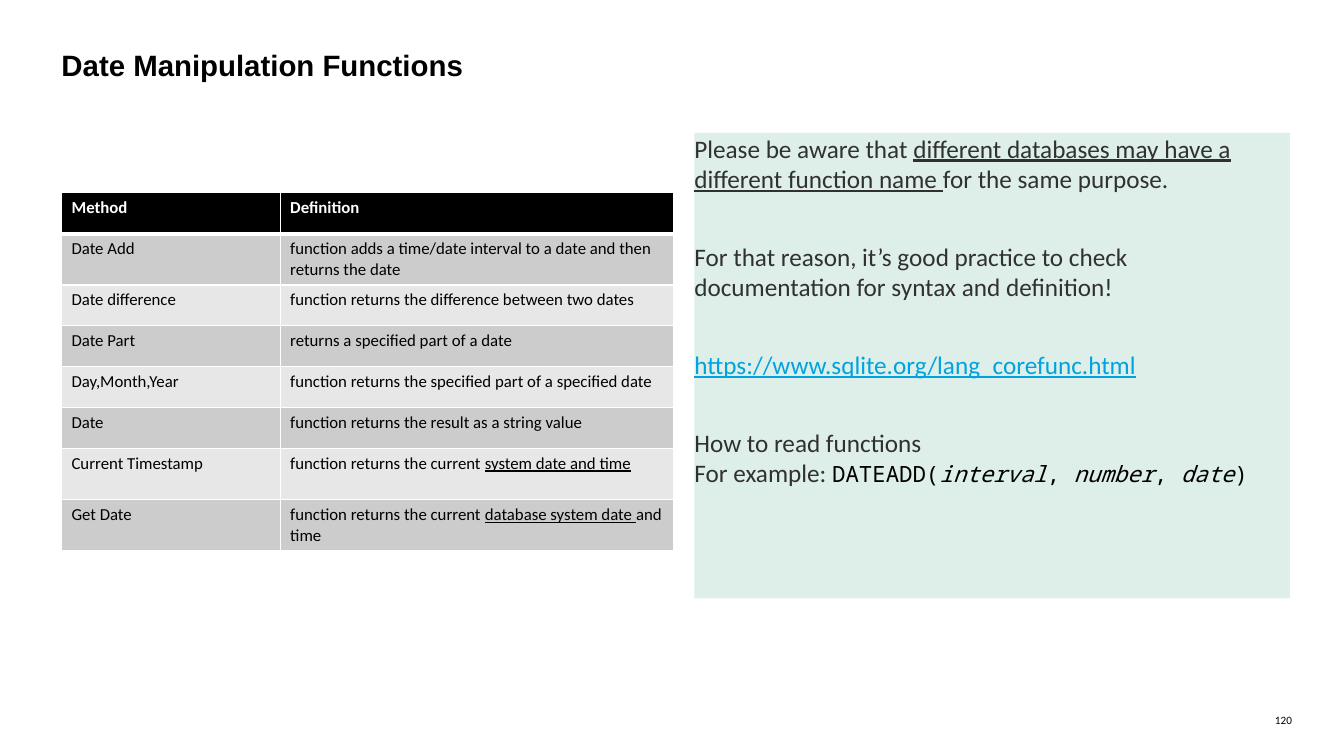
from dataclasses import dataclass
from lxml import etree
from pptx import Presentation
from pptx import util as u
from pptx.dml.color import RGBColor
from pptx.enum import shapes, text
from pptx.oxml.ns import qn


@dataclass
class Theme:
    black: str = "000000"
    white: str = "FFFFFF"
    dark: str = "CCCCCC"
    light: str = "E7E7E7"
    mint: str = "DDEFE8"
    ink: str = "313131"
    link: str = "00A3E0"
    head: str = "Arial"
    body: str = "Calibri"
    mono: str = "Noto Sans Mono"
    title: int = 21
    note: int = 18
    code: int = 16
    cell: int = 12
    page: int = 8


class Deck:
    def __init__(self, theme):
        self.theme = theme
        self.file = Presentation()
        self.file.slide_width = u.Cm(33.87)
        self.file.slide_height = u.Cm(19.05)
        self.slide = self.file.slides.add_slide(self.file.slide_layouts[6])

    def style(self, run, size, color, face=None, **marks):
        font = run.font
        font.size = u.Pt(size)
        font.name = face or self.theme.body
        font.color.rgb = RGBColor.from_string(color)
        for name, value in marks.items():
            setattr(font, name, value)

    def frame(self, box):
        frame = box.text_frame
        frame.word_wrap = True
        frame.vertical_anchor = text.MSO_ANCHOR.TOP
        frame.margin_left = frame.margin_right = 0
        frame.margin_top = frame.margin_bottom = 0
        return frame

    def label(self, place, words, align, *look, **marks):
        box = self.slide.shapes.add_textbox(*map(u.Cm, place))
        frame = self.frame(box)
        frame.text = words
        para = frame.paragraphs[0]
        para.alignment = align
        self.style(para.runs[0], *look, **marks)

    def panel(self, place, paras, gap):
        box = self.slide.shapes.add_shape(shapes.MSO_SHAPE.RECTANGLE, *map(u.Cm, place))
        box.shadow.inherit = False
        box.fill.solid()
        box.fill.fore_color.rgb = RGBColor.from_string(self.theme.mint)
        box.line.fill.background()
        frame = self.frame(box)
        for i, parts in enumerate(paras):
            para = frame.add_paragraph() if i else frame.paragraphs[0]
            para.alignment = text.PP_ALIGN.LEFT
            para.space_before = u.Pt(gap if i else 0)
            for part in parts:
                if part is None:
                    para.add_line_break()
                    continue
                words, look, marks = part
                run = para.add_run()
                run.text = words
                self.style(run, *look, **marks)

    def edge(self, cell, row):
        props = cell._tc.get_or_add_tcPr()
        thick = {"lnB": 0, "lnT": 1}
        for i, side in enumerate(("lnL", "lnR", "lnT", "lnB")):
            width = u.Pt(3 if thick.get(side) == row else 1)
            line = etree.Element(qn("a:" + side), w=str(width))
            fill = etree.SubElement(line, qn("a:solidFill"))
            etree.SubElement(fill, qn("a:srgbClr"), val=self.theme.white)
            props.insert(i, line)

    def table(self, place, rows, cols, highs):
        t = self.theme
        grid = self.slide.shapes.add_table(len(rows), len(cols), *map(u.Cm, place)).table
        for col, width in zip(grid.columns, cols):
            col.width = u.Cm(width)
        for r, (row, high) in enumerate(zip(rows, highs)):
            grid.rows[r].height = u.Cm(high)
            shade = (t.dark if r % 2 else t.light) if r else t.black
            for c, parts in enumerate(row):
                cell = grid.cell(r, c)
                cell.fill.solid()
                cell.fill.fore_color.rgb = RGBColor.from_string(shade)
                self.edge(cell, r)
                para = cell.text_frame.paragraphs[0]
                for i, words in enumerate(parts):
                    run = para.add_run()
                    run.text = words
                    self.style(run, t.cell, t.black if r else t.white,
                               bold=r == 0, underline=i == 1)


def main():
    t = Theme()
    deck = Deck(t)
    left, right = text.PP_ALIGN.LEFT, text.PP_ALIGN.RIGHT
    deck.label((31.7, 17.98, 0.86, 0.33), "120", right, t.page, t.black)
    deck.label((1.55, 1.19, 22.88, 1.27), "Date Manipulation Functions", left,
               t.title, t.black, t.head, bold=True)
    rows = [
        (["Method"], ["Definition"]),
        (["Date Add"], ["function adds a time/date interval to a date and then returns the date"]),
        (["Date difference"], ["function returns the difference between two dates"]),
        (["Date Part"], ["returns a specified part of a date"]),
        (["Day,Month,Year"], ["function returns the specified part of a specified date"]),
        (["Date"], ["function returns the result as a string value"]),
        (["Current Timestamp"], ["function returns the current ", "system date and time"]),
        (["Get Date"], ["function returns the current ", "database system date ", "and time"]),
    ]
    highs = [1.03, 1.29] + [1.03] * 4 + [1.29] * 2
    deck.table((1.55, 4.86, 15.42, sum(highs)), rows, (5.51, 9.91), highs)

    note = (t.note, t.ink)
    code = (t.code, t.black, t.mono)
    line, slant = {"underline": True}, {"italic": True}
    paras = [
        [("Please be aware that ", note, {}),
         ("different databases may have a different function name ", note, line),
         ("for the same purpose.", note, {})],
        [("For that reason, it’s good practice to check documentation "
          "for syntax and definition!", note, {})],
        [("https://www.sqlite.org/lang_corefunc.html", (t.note, t.link), line)],
        [("How to read functions", note, {}), None, ("For example: ", note, {}),
         ("DATEADD(", code, {}), ("interval", code, slant), (", ", code, {}),
         ("number", code, slant), (", ", code, {}), ("date", code, slant),
         (")", code, {})],
    ]
    deck.panel((17.5, 3.35, 15.01, 11.73), paras, 34)
    deck.file.save("out.pptx")


if __name__ == "__main__":
    main()
